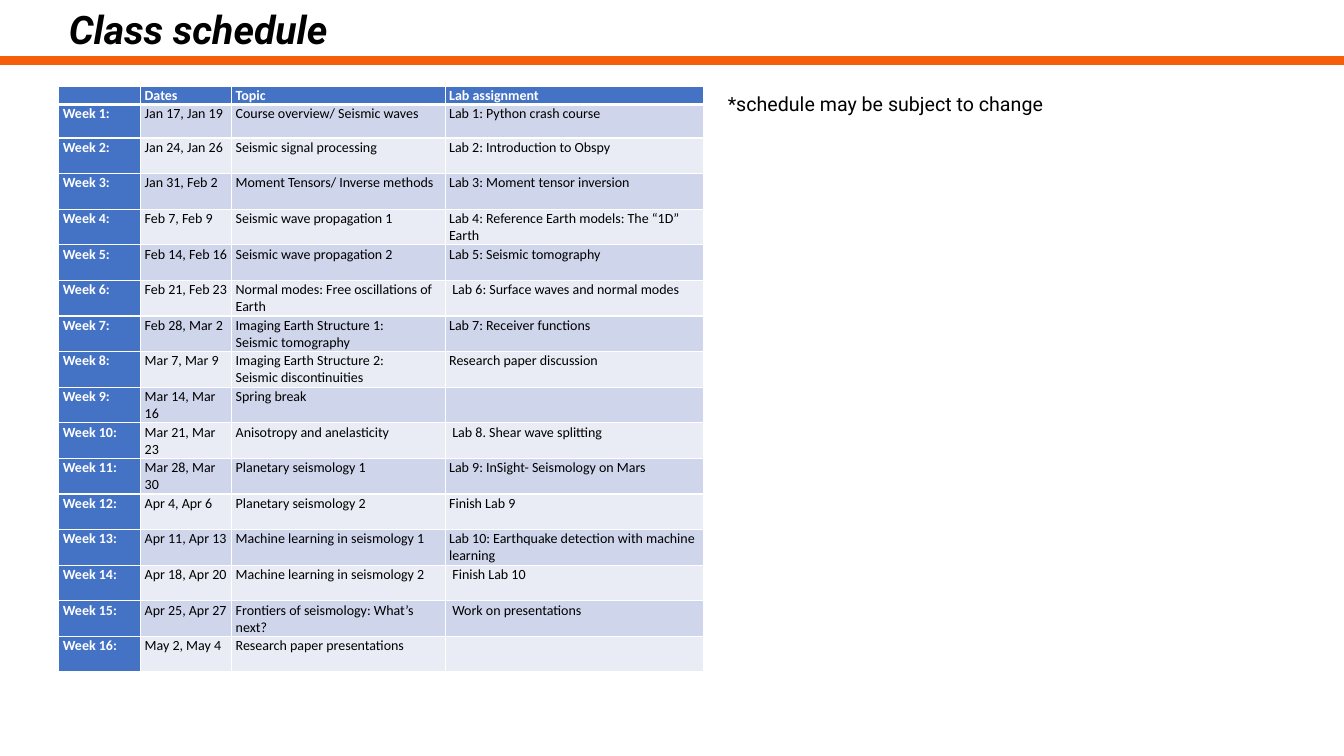
import pptx
import pptx.dml.color
import pptx.enum.shapes
import pptx.enum.text
import pptx.util
from lxml import etree
from pptx.oxml.ns import qn

Pt = pptx.util.Pt

COLORS = {
    "black": "000000",
    "white": "FFFFFF",
    "orange": "F65F0A",
    "blue": "4472C4",
    "band_dark": "CFD5EA",
    "band_light": "E9EBF5",
}

HEADINGS = ("", "Dates", "Topic", "Lab assignment")
WEEKS = [
    ("Jan 17, Jan 19", "Course overview/ Seismic waves", "Lab 1: Python crash course"),
    ("Jan 24, Jan 26", "Seismic signal processing", "Lab 2: Introduction to Obspy"),
    ("Jan 31, Feb 2", "Moment Tensors/ Inverse methods", "Lab 3: Moment tensor inversion"),
    ("Feb 7, Feb 9", "Seismic wave propagation 1", "Lab 4: Reference Earth models: The “1D” Earth"),
    ("Feb 14, Feb 16", "Seismic wave propagation 2", "Lab 5: Seismic tomography"),
    ("Feb 21, Feb 23", "Normal modes: Free oscillations of Earth", "Lab 6: Surface waves and normal modes"),
    ("Feb 28, Mar 2", "Imaging Earth Structure 1:\nSeismic tomography", "Lab 7: Receiver functions"),
    ("Mar 7, Mar 9", "Imaging Earth Structure 2:\nSeismic discontinuities", "Research paper discussion"),
    ("Mar 14, Mar 16", "Spring break", ""),
    ("Mar 21, Mar 23", "Anisotropy and anelasticity", "Lab 8. Shear wave splitting"),
    ("Mar 28, Mar 30", "Planetary seismology 1", "Lab 9: InSight- Seismology on Mars"),
    ("Apr 4, Apr 6", "Planetary seismology 2", "Finish Lab 9"),
    ("Apr 11, Apr 13", "Machine learning in seismology 1", "Lab 10: Earthquake detection with machine learning"),
    ("Apr 18, Apr 20", "Machine learning in seismology 2", "Finish Lab 10"),
    ("Apr 25, Apr 27", "Frontiers of seismology: What’s next?", "Work on presentations"),
    ("May 2, May 4", "Research paper presentations", ""),
]
INDENTED_LABS = {6, 10, 14, 15}
COLUMN_WIDTHS = (58.5, 65, 152.5, 184.3)
HEADER_HEIGHT, FIRST_HEIGHT, WEEK_HEIGHT = 11.5, 23.9, 25.45


def rgb(name):
    return pptx.dml.color.RGBColor.from_string(COLORS[name])


def style_font(para, name, size, color, bold=False, italic=False):
    font = para.font
    font.name, font.size = name, Pt(size)
    font.bold, font.italic = bold, italic
    font.color.rgb = rgb(color)


def add_header(page, left, top, width, height):
    title = page.shapes.title
    title.left, title.top, title.width, title.height = map(Pt, (left, top, width, height))
    frame = title.text_frame
    frame.text = "Class schedule"
    frame.vertical_anchor = pptx.enum.text.MSO_ANCHOR.TOP
    frame.auto_size = pptx.enum.text.MSO_AUTO_SIZE.NONE
    para = frame.paragraphs[0]
    para.alignment = pptx.enum.text.PP_ALIGN.LEFT
    para.line_spacing = 0.9
    para.space_before = Pt(0)
    style_font(para, "Roboto", 28, "black", bold=True, italic=True)

    rule_top = Pt(top + 38.9)
    rule = page.shapes.add_connector(
        pptx.enum.shapes.MSO_CONNECTOR.STRAIGHT, Pt(0), rule_top, Pt(960), rule_top)
    rule.line.color.rgb = rgb("orange")
    rule.line.width = Pt(6)
    etree.SubElement(rule._element.spPr, qn("a:effectLst"))


def add_note(page, left, top, width, height):
    note = page.shapes.add_textbox(*map(Pt, (left, top, width, height)))
    frame = note.text_frame
    frame.word_wrap = True
    frame.text = "*schedule may be subject to change"
    style_font(frame.paragraphs[0], "Roboto", 14, "black")


def set_borders(cell, row):
    widths = {"L": 1, "R": 1, "T": 3 if row == 1 else 1, "B": 3 if row == 0 else 1}
    properties = cell._tc.get_or_add_tcPr()
    for side, width in widths.items():
        line = etree.SubElement(properties, qn(f"a:ln{side}"), w=str(Pt(width)))
        fill = etree.SubElement(line, qn("a:solidFill"))
        etree.SubElement(fill, qn("a:srgbClr"), val=COLORS["white"])


def fill_cell(cell, text, row, column):
    heading = row == 0 or column == 0
    band = "band_dark" if row % 2 else "band_light"
    set_borders(cell, row)
    cell.fill.solid()
    cell.fill.fore_color.rgb = rgb("blue" if heading else band)
    indent = 2.3 if column == 3 and row in INDENTED_LABS else 0
    cell.margin_left, cell.margin_right = Pt(2.9 + indent), Pt(2.9)
    cell.margin_top, cell.margin_bottom = Pt(0.7), Pt(0)
    cell.text = text
    for para in cell.text_frame.paragraphs:
        style_font(para, "Calibri", 10, "white" if heading else "black", bold=heading)
        if not text:
            etree.SubElement(para._p, qn("a:endParaRPr"), sz="1000")


def add_schedule(page, left, top, width, height):
    rows = [HEADINGS] + [(f"Week {number}:", *week) for number, week in enumerate(WEEKS, 1)]
    frame = page.shapes.add_table(
        len(rows), len(HEADINGS), *map(Pt, (left, top, width, height)))
    table = frame.table
    table.first_row = table.horz_banding = False
    for column, column_width in zip(table.columns, COLUMN_WIDTHS):
        column.width = Pt(column_width)
    heights = [HEADER_HEIGHT, FIRST_HEIGHT] + [WEEK_HEIGHT] * (len(WEEKS) - 1)
    for row, texts in enumerate(rows):
        table.rows[row].height = Pt(heights[row])
        for column, text in enumerate(texts):
            fill_cell(table.cell(row, column), text, row, column)


def main():
    deck = pptx.Presentation()
    deck.slide_width, deck.slide_height = Pt(960), Pt(540)
    page = deck.slides.add_slide(deck.slide_layouts[5])
    add_header(page, 42, 4.3, 720, 48)
    add_note(page, 512.8, 62, 304.6, 24.5)
    add_schedule(page, 42, 62, sum(COLUMN_WIDTHS), 417.6)
    deck.save("out.pptx")


if __name__ == "__main__":
    main()
